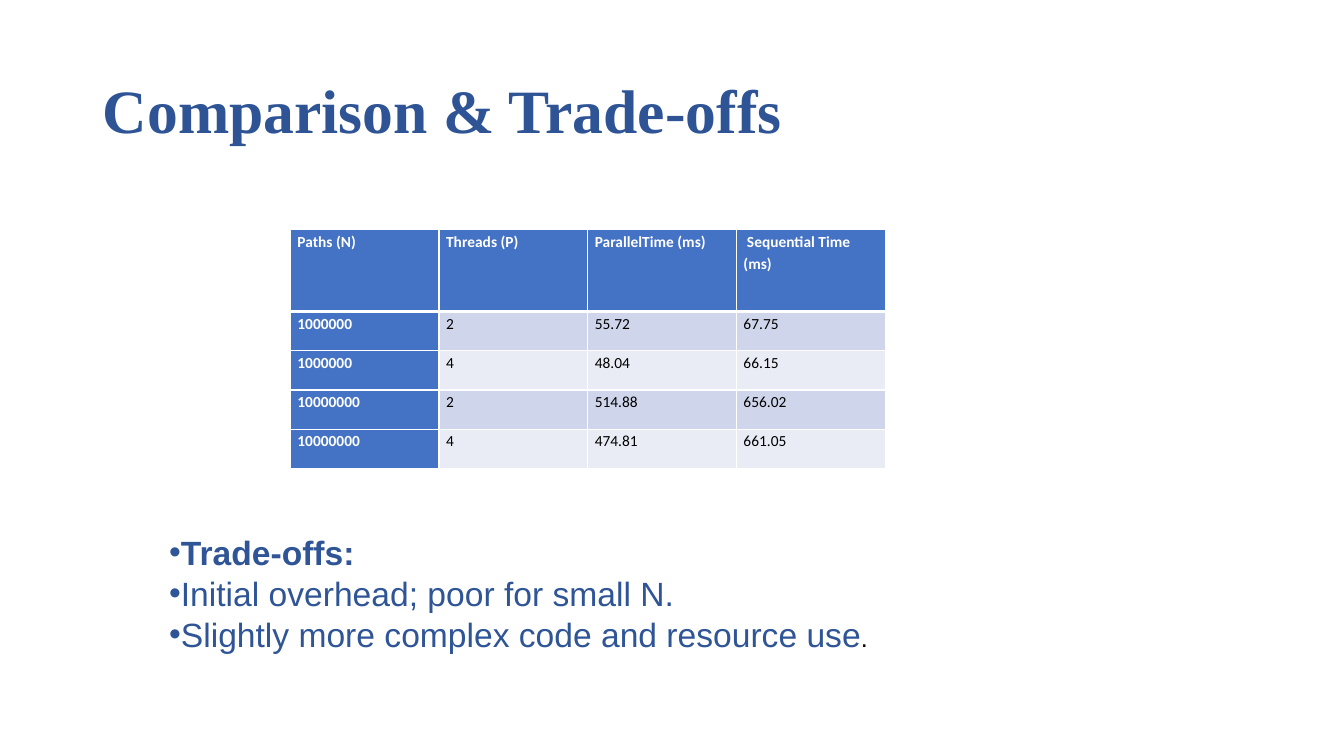
from lxml.etree import SubElement
from pptx import Presentation
from pptx.dml.color import RGBColor
from pptx.enum.text import MSO_ANCHOR, PP_ALIGN
from pptx.oxml.ns import qn
from pptx.util import Inches, Pt

NAVY = RGBColor(0x2F, 0x54, 0x96)
INK = RGBColor(0x2F, 0x55, 0x97)
BLUE = RGBColor(0x44, 0x72, 0xC4)
BAND = RGBColor(0xCF, 0xD5, 0xEA)
PALE = RGBColor(0xE9, 0xEB, 0xF5)
WHITE = RGBColor(0xFF, 0xFF, 0xFF)
BLACK = RGBColor(0, 0, 0)

ROWS = [
    ["Paths (N)", "Threads (P)", "ParallelTime (ms)", " Sequential Time (ms)"],
    ["1000000", "2", "55.72", "67.75"],
    ["1000000", "4", "48.04", "66.15"],
    ["10000000", "2", "514.88", "656.02"],
    ["10000000", "4", "474.81", "661.05"],
]
POINTS = [
    ("Trade-offs:", True, ""),
    ("Initial overhead; poor for small N.", False, ""),
    ("Slightly more complex code and resource use", False, "."),
]


def assign(item, values):
    for name, value in values.items():
        setattr(item, name, value)


def add_run(para, text, face, size, color, bold=False):
    run = para.add_run()
    run.text = text
    assign(run.font, {"name": face, "size": Pt(size), "bold": bold})
    run.font.color.rgb = color


def add_title(slide, text):
    title = slide.shapes.title
    assign(title, {"left": Inches(0.92), "top": Inches(0.4),
                   "width": Inches(11.5), "height": Inches(1.45)})
    frame = title.text_frame
    assign(frame, {"vertical_anchor": MSO_ANCHOR.MIDDLE, "word_wrap": True})
    para = frame.paragraphs[0]
    assign(para, {"alignment": PP_ALIGN.LEFT, "line_spacing": 0.9})
    add_run(para, text, "Times New Roman", 44, NAVY, True)


def add_border(cell, side, width):
    line = SubElement(cell._tc.get_or_add_tcPr(), qn(f"a:{side}"), w=str(Pt(width)))
    fill = SubElement(line, qn("a:solidFill"))
    SubElement(fill, qn("a:srgbClr"), val=str(WHITE))


def fill_cell(cell, text, row, col):
    head = row == 0 or col == 0
    assign(cell, {"margin_left": Inches(0.07), "margin_right": Inches(0.07),
                  "margin_top": 0, "margin_bottom": 0})
    for side in ("lnL", "lnR", "lnT", "lnB"):
        edge = (row, side) in ((0, "lnB"), (1, "lnT"))
        add_border(cell, side, 3 if edge else 1)
    cell.fill.solid()
    cell.fill.fore_color.rgb = BLUE if head else BAND if row % 2 else PALE
    para = cell.text_frame.paragraphs[0]
    assign(para, {"line_spacing": 1.15, "space_after": Pt(10)})
    add_run(para, text, "Calibri", 11, WHITE if head else BLACK, head)


def add_times(slide, rows):
    frame = slide.shapes.add_table(len(rows), len(rows[0]), Inches(2.88),
                                   Inches(2.28), Inches(5.9), Inches(2.37))
    table = frame.table
    assign(table, {"first_col": True, "horz_banding": True})
    for col in table.columns:
        col.width = Inches(1.475)
    for row, texts in enumerate(rows):
        table.rows[row].height = Inches(0.39 if row else 0.81)
        for col, text in enumerate(texts):
            fill_cell(table.cell(row, col), text, row, col)


def add_points(slide, points):
    box = slide.shapes.add_textbox(Inches(1.58), Inches(4.82), Inches(7.21), Inches(2.02))
    frame = box.text_frame
    assign(frame, {"word_wrap": True, "margin_top": Inches(0.45)})
    for index, (text, bold, tail) in enumerate(points):
        para = frame.add_paragraph() if index else frame.paragraphs[0]
        para.line_spacing = Pt(29.2)
        props = para._p.get_or_add_pPr()
        SubElement(props, qn("a:buFont"), typeface="Arial")
        SubElement(props, qn("a:buChar"), char="•")
        add_run(para, text, "Arial", 24, INK, bold)
        if tail:
            add_run(para, tail, "Arial", 18, BLACK)


def main():
    deck = Presentation()
    assign(deck, {"slide_width": Inches(13.33), "slide_height": Inches(7.5)})
    slide = deck.slides.add_slide(deck.slide_layouts[5])
    add_title(slide, "Comparison & Trade-offs")
    add_points(slide, POINTS)
    add_times(slide, ROWS)
    deck.save("out.pptx")


if __name__ == "__main__":
    main()
